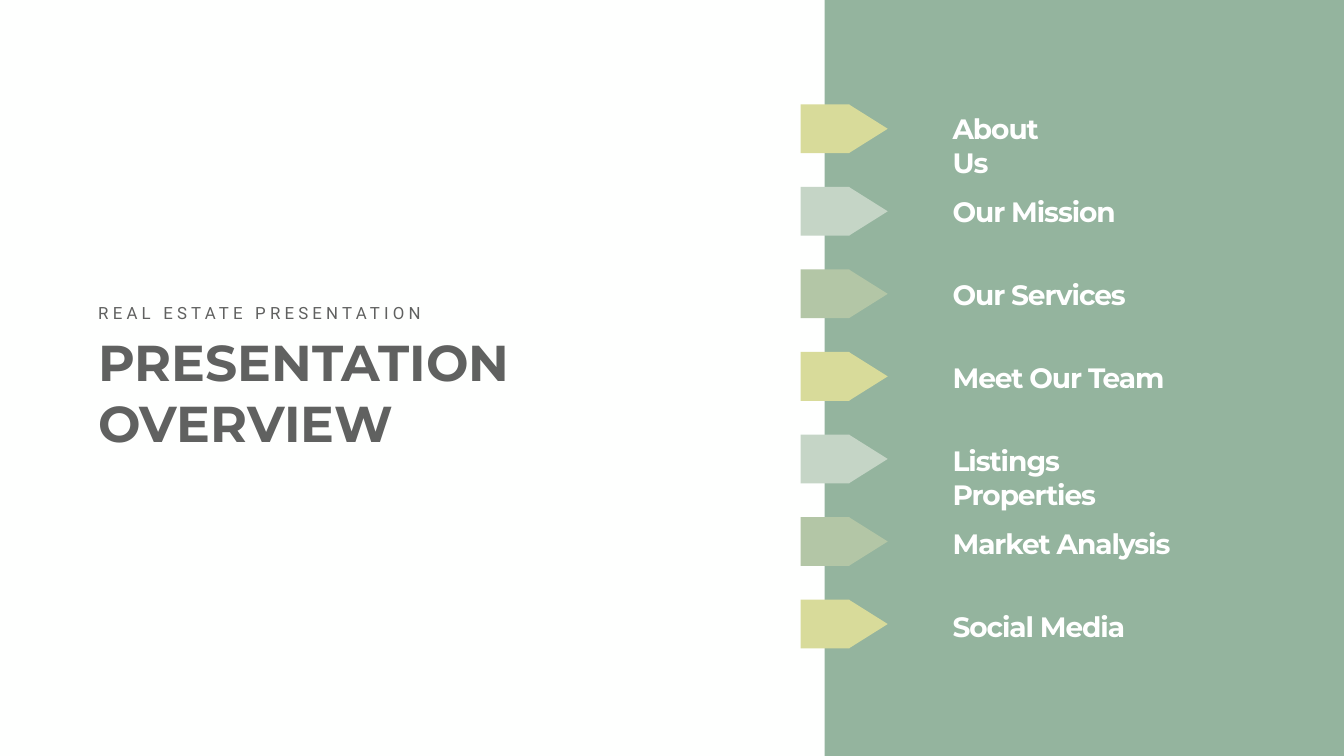
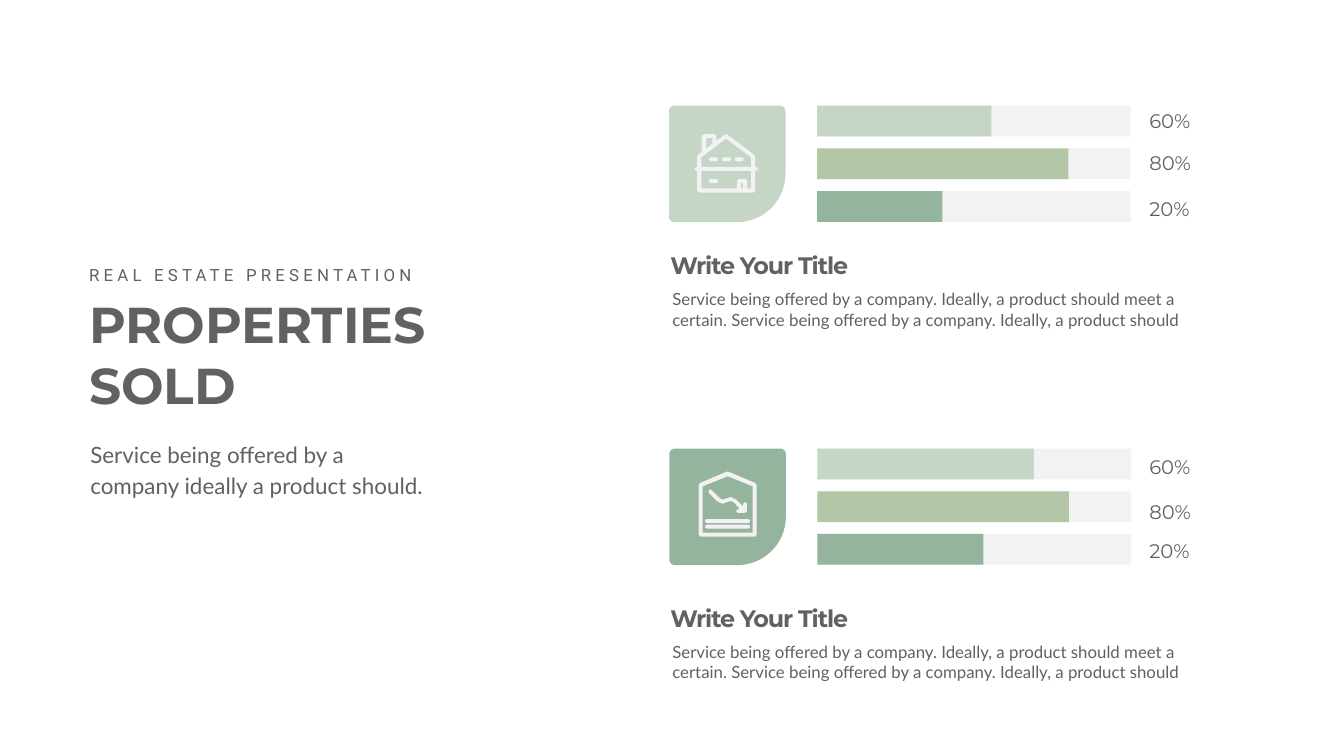
from math import cos, radians, sin

from pptx import Presentation
from pptx.dml.color import RGBColor
from pptx.enum.shapes import MSO_SHAPE as Preset
from pptx.enum.text import MSO_ANCHOR, MSO_AUTO_SIZE, PP_ALIGN
from pptx.util import Cm, Pt

SAGE, MIST, MOSS, LIME = "94B49E", "C5D5C6", "B3C6A6", "D8DB9A"
GREY, PALE, WHITE = "606160", "F2F2F2", "FFFFFF"
KICKER = "REAL ESTATE PRESENTATION"

AGENDA = [
    ("About Us", 6.93),
    ("Our Mission", 9.04),
    ("Our Services", 9.32),
    ("Meet Our Team", 11.4),
    ("Listings Properties", 13.26),
    ("Market Analysis", 11.66),
    ("Social Media", 9.32),
]
TAG_COLORS = [LIME, MIST, MOSS]
TAG_LEFT, TAG_TOP, TAG_SIZE, TAG_PITCH = 40.34, 5.26, 2.46, 4.16
TIP_HEIGHT = 1.96
LABEL_TOP, LABEL_PITCH = 5.5, 4.18

INTRO = "Service being offered by a company ideally a product should."
CARD_TITLE = "Write Your Title"
CARD_TEXT = (
    "Service being offered by a company. Ideally, a product should meet a certain. "
    "Service being offered by a company. Ideally, a product should"
)

HOUSE = {
    "outlines": [
        [(3.12, 1.65), (3.07, 1.65), (3.07, 1.12), (3.02, 1.04), (1.68, 0.03),
         (1.61, 0), (1.55, 0.03), (1.12, 0.33), (1.12, 0.1), (1.02, 0), (0.48, 0),
         (0.38, 0.1), (0.38, 0.89), (0.2, 1.04), (0.15, 1.12), (0.15, 1.65),
         (0.1, 1.65), (0, 1.75), (0.1, 1.85), (0.15, 1.85), (0.15, 2.84),
         (0.25, 2.95), (2.97, 2.95), (3.07, 2.84), (3.07, 1.85), (3.12, 1.85),
         (3.23, 1.75)],
        [(0.61, 0.2), (0.91, 0.2), (0.91, 0.48), (0.61, 0.74)],
        [(0.36, 1.65), (0.36, 1.17), (1.6, 0.23), (2.87, 1.17), (2.87, 1.65)],
        [(2.67, 2.74), (2.67, 2.36), (2.57, 2.26), (2.26, 2.26), (2.16, 2.36),
         (2.16, 2.74), (0.36, 2.74), (0.36, 1.85), (2.87, 1.85), (2.87, 2.74)],
        [(2.46, 2.74), (2.36, 2.74), (2.36, 2.46), (2.46, 2.46)],
    ],
    "dashes": [(0.74, 2.26, 0.46), (0.74, 1.17, 0.46), (1.4, 1.17, 0.46), (2.03, 1.17, 0.46)],
}
MARKET = {
    "outlines": [
        [(2.87, 0.58), (1.5, 0), (1.42, 0), (0.05, 0.58), (0, 0.69), (0, 3.18),
         (0.1, 3.28), (2.84, 3.28), (2.92, 3.18), (2.92, 0.69)],
        [(2.72, 3.07), (0.2, 3.07), (0.2, 0.74), (1.47, 0.23), (2.72, 0.74)],
        [(1.09, 1.35), (0.66, 0.94), (0.58, 0.9), (0.51, 0.94), (0.51, 1.07),
         (0.94, 1.5), (1.21, 1.62), (1.47, 1.52), (1.61, 1.49), (1.75, 1.52),
         (2.08, 1.88), (1.98, 1.88), (1.88, 1.98), (1.98, 2.08), (2.34, 2.08),
         (2.44, 1.98), (2.44, 1.63), (2.34, 1.52), (2.24, 1.63), (2.24, 1.75),
         (1.88, 1.4), (1.63, 1.28), (1.35, 1.37), (1.22, 1.41)],
    ],
    "dashes": [(0.33, 2.39, 2.26), (0.33, 2.67, 2.26)],
}

CARDS = [
    {"left": 33.71, "top": 5.33, "color": MIST, "icon": HOUSE, "icon_at": (34.98, 6.76),
     "title_top": 12.52, "text_top": 14.27,
     "bars": [("60%", 8.79, 5.38), ("80%", 12.67, 7.49), ("20%", 6.32, 9.8)]},
    {"left": 33.73, "top": 22.61, "color": SAGE, "icon": MARKET, "icon_at": (35.2, 23.77),
     "title_top": 30.28, "text_top": 32.03,
     "bars": [("60%", 10.9, 22.81), ("80%", 12.67, 25.07), ("20%", 8.36, 27.05)]},
]
BAR_COLORS = [MIST, MOSS, SAGE]
BAR_OFFSET, BAR_WIDTH, BAR_HEIGHT, BAR_PITCH = 7.46, 15.8, 1.55, 2.15
BADGE_SIZE, SMALL_RADIUS, LARGE_RADIUS = 5.87, 0.28, 2.45


def rgb(color):
    return RGBColor.from_string(color)


def paint(shape, color):
    shape.shadow.inherit = False
    shape.fill.solid()
    shape.fill.fore_color.rgb = rgb(color)
    shape.line.fill.background()
    return shape


def add_preset(slide, preset, left, top, width, height, color):
    shape = slide.shapes.add_shape(preset, Cm(left), Cm(top), Cm(width), Cm(height))
    return paint(shape, color)


def add_outline(slide, outlines, left, top, color):
    builder = None
    for outline in outlines:
        points = [(Cm(left + x), Cm(top + y)) for x, y in outline]
        if builder is None:
            builder = slide.shapes.build_freeform(*points[0])
        else:
            builder.move_to(*points[0])
        builder.add_line_segments(points[1:], close=True)
    return paint(builder.convert_to_shape(), color)


def write(shape, lines, size, font, color=GREY, bold=False, tracking=0, inset=(0.25, 0.13),
          wrap=True, spacing=None):
    frame = shape.text_frame
    frame.text = "\n".join(lines)
    frame.word_wrap = wrap
    frame.auto_size = MSO_AUTO_SIZE.SHAPE_TO_FIT_TEXT
    frame.vertical_anchor = MSO_ANCHOR.TOP
    frame.margin_left = frame.margin_right = Cm(inset[0])
    frame.margin_top = frame.margin_bottom = Cm(inset[1])
    for paragraph in frame.paragraphs:
        paragraph.alignment = PP_ALIGN.LEFT
        if spacing:
            paragraph.line_spacing = Pt(spacing)
        paragraph.font.size = Pt(size)
        paragraph.font.name = font
        paragraph.font.bold = bold
        paragraph.font.color.rgb = rgb(color)
        if tracking:
            for run in paragraph.runs:
                run._r.get_or_add_rPr().set("spc", str(int(tracking * 100)))


def add_text(slide, text, left, top, width, height, size, font, **style):
    box = slide.shapes.add_textbox(Cm(left), Cm(top), Cm(width), Cm(height))
    write(box, [text], size, font, **style)


def add_titled_slide(presentation, lines, left, top, background):
    slide = presentation.slides.add_slide(presentation.slide_layouts[5])
    slide.background.fill.solid()
    slide.background.fill.fore_color.rgb = rgb(background)
    title = slide.shapes.title
    title.left, title.top, title.width, title.height = Cm(left), Cm(top), Cm(21.74), Cm(6.4)
    write(title, lines, 72, "Montserrat", bold=True)
    add_text(slide, KICKER, left, top - 1.45, 17.8, 1.27, 24, "Roboto", tracking=6)
    return slide


def badge_outline():
    corners = [(0, 0, SMALL_RADIUS), (1, 0, SMALL_RADIUS),
               (1, 1, LARGE_RADIUS), (0, 1, SMALL_RADIUS)]
    points = []
    for index, (right, bottom, radius) in enumerate(corners):
        center_x = BADGE_SIZE - radius if right else radius
        center_y = BADGE_SIZE - radius if bottom else radius
        for step in range(0, 91, 6):
            angle = radians(180 + 90 * index + step)
            points.append((center_x + radius * cos(angle), center_y + radius * sin(angle)))
    return points


def build_overview(presentation):
    slide = add_titled_slide(presentation, ["PRESENTATION", "OVERVIEW"], 4.7, 16.56, "FEFFFE")
    add_preset(slide, Preset.RECTANGLE, 41.55, 0, 26.17, 38.1, SAGE)
    for index, (label, width) in enumerate(AGENDA):
        color = TAG_COLORS[index % len(TAG_COLORS)]
        top = TAG_TOP + index * TAG_PITCH
        add_preset(slide, Preset.RECTANGLE, TAG_LEFT, top, TAG_SIZE, TAG_SIZE, color)
        tip = add_preset(slide, Preset.ISOSCELES_TRIANGLE, TAG_LEFT + 2.18,
                         top + (TAG_SIZE - TIP_HEIGHT) / 2, TAG_SIZE, TIP_HEIGHT, color)
        tip.rotation = 90
        add_text(slide, label, 47.75, LABEL_TOP + index * LABEL_PITCH, width, 1.96,
                 40, "Montserrat", color=WHITE, bold=True, tracking=-1.5)


def add_card(slide, card):
    left, top = card["left"], card["top"]
    add_outline(slide, [badge_outline()], left, top, card["color"])
    icon_left, icon_top = card["icon_at"]
    add_outline(slide, card["icon"]["outlines"], icon_left, icon_top, PALE)
    for x, y, width in card["icon"]["dashes"]:
        dash = add_preset(slide, Preset.ROUNDED_RECTANGLE, icon_left + x, icon_top + y,
                          width, 0.2, PALE)
        dash.adjustments[0] = 0.5
    for index, (percent, width, percent_top) in enumerate(card["bars"]):
        bar_top = top + index * BAR_PITCH
        for bar_width, color in [(BAR_WIDTH, PALE), (width, BAR_COLORS[index])]:
            add_preset(slide, Preset.RECTANGLE, left + BAR_OFFSET, bar_top,
                       bar_width, BAR_HEIGHT, color)
        add_text(slide, percent, 57.66, percent_top, 2.64, 1.45, 28, "Montserrat", wrap=False)
    add_text(slide, CARD_TITLE, 33.53, card["title_top"], 11.66, 1.7, 34, "Montserrat",
             bold=True, tracking=-1.5)
    add_text(slide, CARD_TEXT, 33.27, card["text_top"], 26.95, 2.67, 24, "Lato",
             inset=(0.61, 0.3))


def build_properties(presentation):
    slide = add_titled_slide(presentation, ["PROPERTIES", "SOLD"], 4.24, 14.66, WHITE)
    add_text(slide, INTRO, 3.94, 21.79, 18.11, 5.33, 32, "Lato", inset=(0.61, 0.3), spacing=43)
    for card in CARDS:
        add_card(slide, card)


def main():
    presentation = Presentation()
    presentation.slide_width, presentation.slide_height = Cm(67.72), Cm(38.1)
    build_overview(presentation)
    build_properties(presentation)
    presentation.save("out.pptx")


if __name__ == "__main__":
    main()
